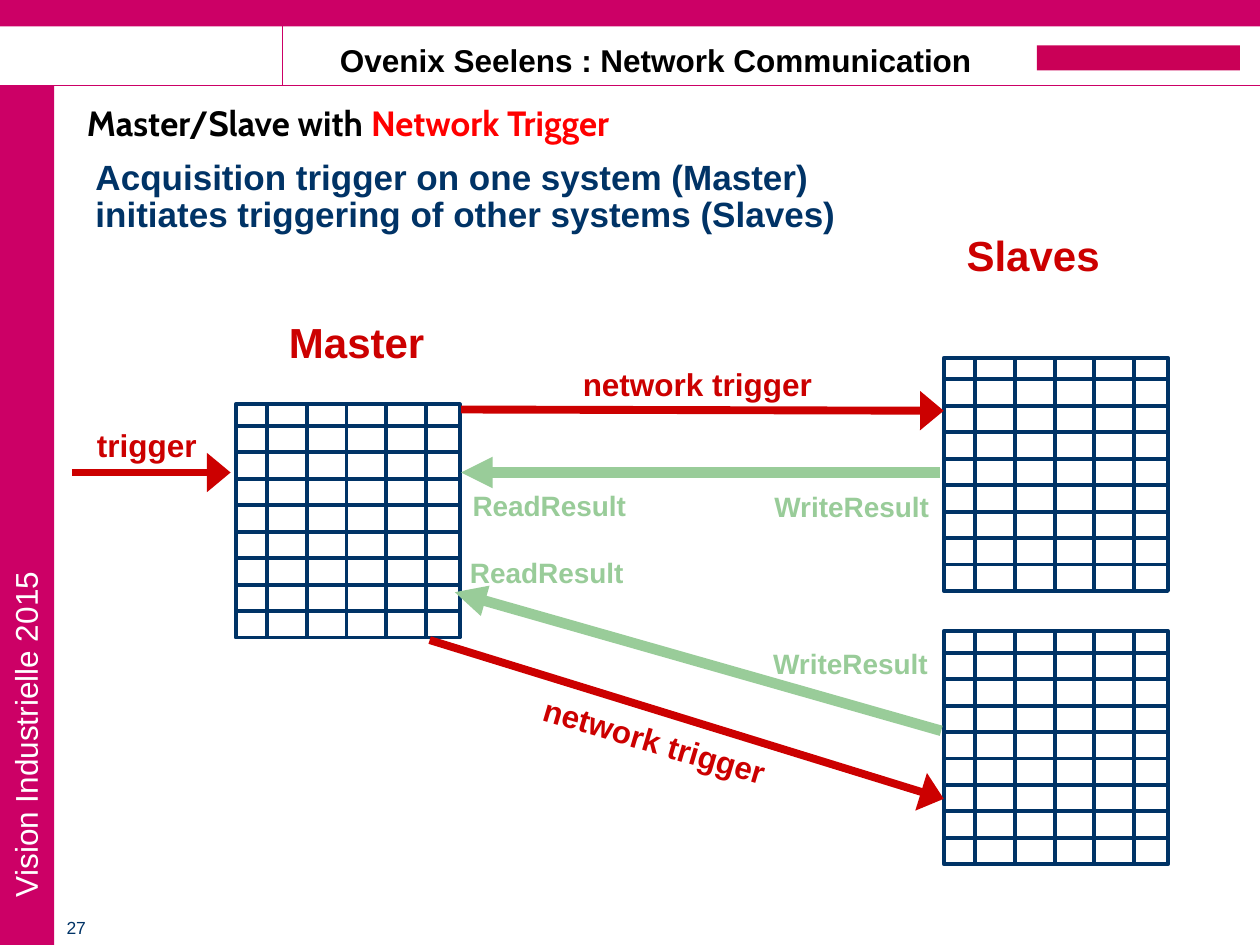
from lxml import etree
from pptx import Presentation
from pptx.dml.color import RGBColor
from pptx.enum.shapes import MSO_CONNECTOR, MSO_SHAPE
from pptx.enum.text import MSO_ANCHOR, PP_ALIGN
from pptx.oxml.ns import qn
from pptx.util import Inches, Pt

RECT = MSO_SHAPE.RECTANGLE
STRAIGHT = MSO_CONNECTOR.STRAIGHT
LEFT, CENTER = PP_ALIGN.LEFT, PP_ALIGN.CENTER
MIDDLE = MSO_ANCHOR.MIDDLE

W, H = 10, 7.5
MAGENTA, NAVY, RED, GREEN = "CC0066", "003366", "CC0000", "99CC99"
BLACK, WHITE = "000000", "FFFFFF"

BARS = [  # left, top, width, height, colour
    (0, 0.68, 0.43, H - 0.68, MAGENTA),
    (0, 0, W, 0.21, MAGENTA),
    (8.23, 0.36, 1.61, 0.2, "CA0057"),
]
RULES = [((0, 0.68), (W, 0.68)), ((2.24, 0.68), (2.24, 0))]

TITLE = [("Master/Slave with ", BLACK), ("Network Trigger", "FF0000")]
INTRO = ("Acquisition trigger on one system (Master) "
         "initiates triggering of other systems (Slaves)")
SIDE_TEXT = "Vision Industrielle 2015"
LABELS = [  # text, (left, top, width, height), size, colour, bold, align, rotation
    ("27", (0.43, 7.23, 0.47, 0.27), 10, NAVY, False, LEFT, 0),
    ("Ovenix Seelens : Network Communication", (2.29, 0.28, 5.83, 0.4), 18, BLACK, True, CENTER, 0),
    ("Slaves", (7.31, 1.77, 1.78, 0.5), 24, RED, True, CENTER, 0),
    ("Master", (1.94, 2.46, 1.78, 0.5), 24, RED, True, CENTER, 0),
    ("WriteResult", (5.94, 3.84, 1.64, 0.37), 16, GREEN, True, CENTER, 0),
    ("ReadResult", (3.54, 3.83, 1.64, 0.37), 16, GREEN, True, CENTER, 0),
    ("WriteResult", (5.93, 5.08, 1.64, 0.37), 16, GREEN, True, CENTER, 0),
    ("ReadResult", (3.52, 4.36, 1.64, 0.37), 16, GREEN, True, CENTER, 0),
    ("network trigger", (4.16, 2.85, 2.75, 0.4), 18, RED, True, CENTER, 0),
    ("network trigger", (3.82, 5.68, 2.75, 0.4), 18, RED, True, CENTER, 16.5),
    ("trigger", (0.42, 3.33, 1.49, 0.4), 18, RED, True, CENTER, 0),
]

GRID_CORNERS = [(1.87, 3.21), (7.49, 2.84), (7.49, 5.01)]
GRID_W, GRID_H = 1.78, 1.85
FIRST_ROW, ROW, ROW_LINES = 0.17, 0.21, 8
FIRST_COL, COL, COL_LINES = 0.25, 0.315, 5

ARROWS = [  # start, end, colour, width, head width
    ((7.46, 3.75), (3.66, 3.75), GREEN, 6, "med"),
    ((7.47, 5.8), (3.61, 4.7), GREEN, 6, "med"),
    ((3.66, 3.25), (7.49, 3.26), RED, 4.5, "lg"),
    ((3.41, 5.08), (7.49, 6.34), RED, 4.5, "lg"),
    ((0.57, 3.75), (1.83, 3.75), RED, 4.5, "lg"),
]


def rgb(value):
    return RGBColor.from_string(value)


def inches(*values):
    return [Inches(v) for v in values]


def add_line(shapes, start, end, color, width, head=None):
    line = shapes.add_connector(STRAIGHT, *inches(*start, *end))
    line.line.color.rgb = rgb(color)
    line.line.width = Pt(width)
    if head:
        etree.SubElement(line.line._get_or_add_ln(), qn("a:tailEnd"), type="triangle", w=head)
    etree.SubElement(line._element.spPr, qn("a:effectLst"))


def add_run(p, text, size, color, bold, font="Arial"):
    r = p.add_run()
    r.text = text
    r.font.name, r.font.size, r.font.bold = font, Pt(size), bold
    r.font.color.rgb = rgb(color)


def add_label(shapes, text, box, size, color, bold, align, rotation=0):
    tb = shapes.add_textbox(*inches(*box))
    tb.rotation = rotation
    tf = tb.text_frame
    tf.word_wrap = True
    tf.paragraphs[0].alignment = align
    add_run(tf.paragraphs[0], text, size, color, bold)
    return tf


def add_grid(shapes, left, top):
    group = shapes.add_group_shape()
    frame = group.shapes.add_shape(RECT, *inches(left, top, GRID_W, GRID_H))
    frame.shadow.inherit = False
    frame.fill.background()
    frame.line.color.rgb = rgb(NAVY)
    frame.line.width = Pt(2.25)
    for i in range(ROW_LINES):
        y = top + FIRST_ROW + i * ROW
        add_line(group.shapes, (left, y), (left + GRID_W, y), NAVY, 2.25)
    for i in range(COL_LINES):
        x = left + FIRST_COL + i * COL
        add_line(group.shapes, (x, top), (x, top + GRID_H), NAVY, 2.25)


def main():
    prs = Presentation()
    prs.slide_width, prs.slide_height = inches(W, H)
    s = prs.slides.add_slide(prs.slide_layouts[5])

    for *box, color in BARS:
        bar = s.shapes.add_shape(RECT, *inches(*box))
        bar.shadow.inherit = False
        bar.fill.solid()
        bar.fill.fore_color.rgb = rgb(color)
        bar.line.fill.background()
    for start, end in RULES:
        add_line(s.shapes, start, end, MAGENTA, 0.75)

    title = s.shapes.title
    title.left, title.top, title.width, title.height = inches(0.59, 0.76, 9.4, 0.47)
    title.text_frame.vertical_anchor = MIDDLE
    p = title.text_frame.paragraphs[0]
    p.alignment, p.line_spacing = LEFT, 0.9
    for text, color in TITLE:
        add_run(p, text, 20, color, True, "Cabin")

    for corner in GRID_CORNERS:
        add_grid(s.shapes, *corner)
    for arrow in ARROWS:
        add_line(s.shapes, *arrow)
    for label in LABELS:
        add_label(s.shapes, *label)
    intro = add_label(s.shapes, INTRO, (0.66, 1.22, 6.83, 0.7), 20, NAVY, True, LEFT)
    intro.paragraphs[0].line_spacing = 0.9

    side = add_label(s.shapes, SIDE_TEXT, (0, 3.12, 0.4, 4.1), 18, WHITE, False, LEFT)
    side._txBody.bodyPr.set("vert", "vert270")
    side.margin_left, side.margin_right, side.margin_top, side.margin_bottom = inches(
        0.05, 0.05, 0.1, 0.1)

    prs.save("out.pptx")


if __name__ == "__main__":
    main()
